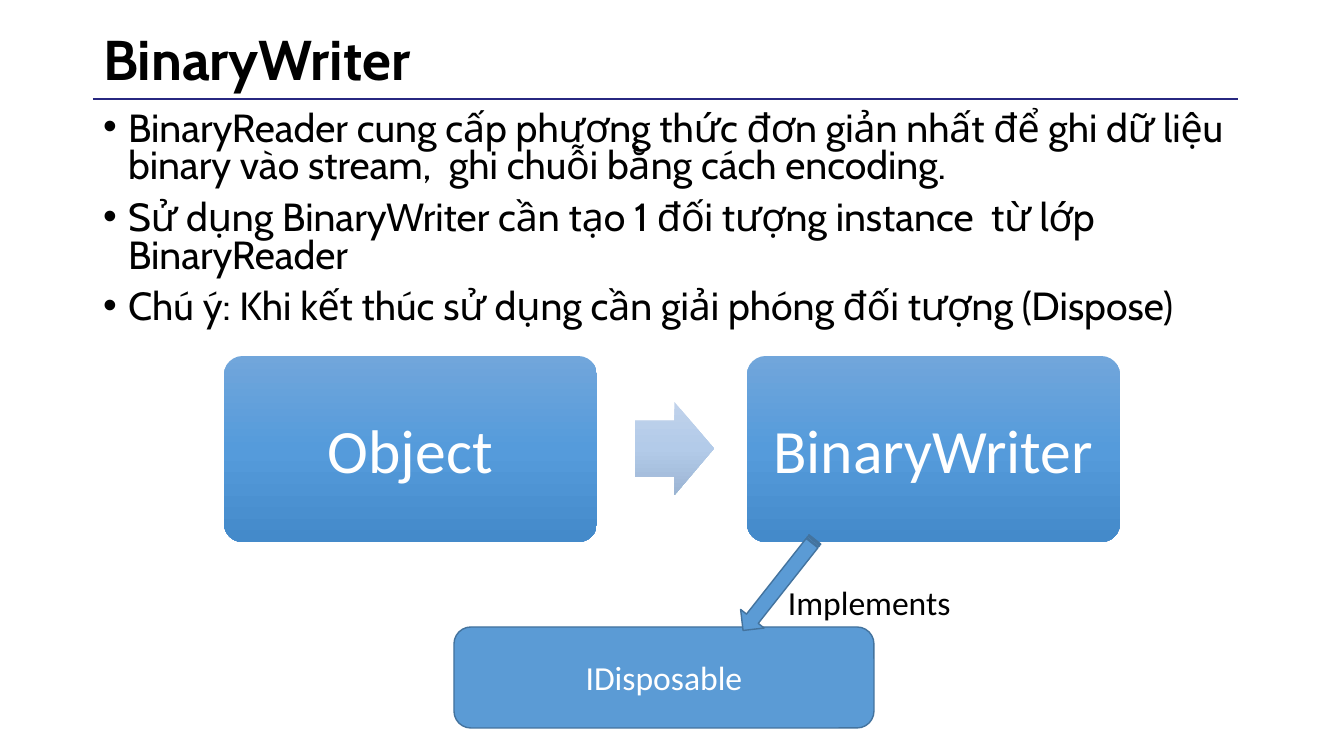
from copy import deepcopy

from lxml import etree
from pptx import Presentation
from pptx import util as u
from pptx.dml.color import RGBColor
from pptx.enum import shapes, text
from pptx.oxml.ns import qn

SLIDE_W, SLIDE_H = 1344, 756
EMU_PER_PX = 12192000 / SLIDE_W
HEADING_FONT, DIAGRAM_FONT = "Cabin", "Calibri"
BLACK, WHITE, NAVY = "000000", "FFFFFF", "272780"
BLUE, BLUE_EDGE = "5B9BD5", "43739E"
BOX_SHADES = ("71A6DB", "559BDB", "448ACA")
ARROW_SHADES = ("C0D2EB", "B3CBE9", "9BB4D3")
POINTS = (
    "BinaryReader cung cấp phương thức đơn giản nhất để ghi dữ liệu "
    "binary vào stream,  ghi chuỗi bằng cách encoding.",
    "Sử dụng BinaryWriter cần tạo 1 đối tượng instance  từ lớp BinaryReader",
    "Chú ý: Khi kết thúc sử dụng cần giải phóng đối tượng (Dispose)",
)


def px(*lengths):
    """Turn pixel lengths into EMU."""
    return [u.Emu(round(length * EMU_PER_PX)) for length in lengths]


def color(hex_code):
    """Turn a hex string into a colour."""
    return RGBColor.from_string(hex_code)


def write(frame, *lines, size, font=DIAGRAM_FONT, fill=BLACK, bold=False,
          align=text.PP_ALIGN.LEFT, anchor=text.MSO_ANCHOR.TOP, wrap=True,
          spacing=1.0, before=0, bullet=None, indent=25):
    """Write one paragraph per line into a text frame."""
    frame.auto_size = text.MSO_AUTO_SIZE.NONE
    frame.word_wrap = wrap
    frame.vertical_anchor = anchor
    for number, line in enumerate(lines):
        paragraph = frame.add_paragraph() if number else frame.paragraphs[0]
        paragraph.alignment = align
        paragraph.line_spacing = spacing
        paragraph.space_before = u.Pt(before)
        run = paragraph.add_run()
        run.text = line
        run.font.name, run.font.size, run.font.bold = font, u.Pt(size), bold
        run.font.color.rgb = color(fill)
        if bullet:
            props = paragraph._p.get_or_add_pPr()
            step = px(indent)[0]
            props.set("marL", str(step))
            props.set("indent", str(-step))
            etree.SubElement(props, qn("a:buChar")).set("char", bullet)


def place(placeholder, box):
    """Move a placeholder to a box."""
    (placeholder.left, placeholder.top,
     placeholder.width, placeholder.height) = px(*box)


def shade(shape, shades):
    """Fill a shape from top to bottom with evenly spaced shades."""
    shape.fill.gradient()
    shape.fill.gradient_angle = 270
    stop_list = shape._element.spPr.find(".//" + qn("a:gsLst"))
    for _ in shades[2:]:
        stop_list.append(deepcopy(stop_list[0]))
    for number, (stop, tone) in enumerate(zip(shape.fill.gradient_stops, shades)):
        stop.position = number / (len(shades) - 1)
        stop.color.rgb = color(tone)


def add_figure(slide, kind, box, shades=None, adjustments=()):
    """Add a preset shape, shaded without an edge or plain blue with one."""
    figure = slide.shapes.add_shape(kind, *px(*box))
    figure.shadow.inherit = False
    for number, value in enumerate(adjustments):
        figure.adjustments[number] = value
    if shades:
        shade(figure, shades)
        figure.line.fill.background()
    else:
        figure.fill.solid()
        figure.fill.fore_color.rgb = color(BLUE)
        figure.line.color.rgb = color(BLUE_EDGE)
        figure.line.width = u.Pt(1)
    return figure


def add_class_box(slide, name, box, size, **look):
    """Add a rounded box with a centred class name."""
    figure = add_figure(slide, shapes.MSO_SHAPE.ROUNDED_RECTANGLE, box, **look)
    write(figure.text_frame, name, size=size, fill=WHITE,
          align=text.PP_ALIGN.CENTER, anchor=text.MSO_ANCHOR.MIDDLE)


def fill_heading(slide, box):
    """Set the title and the rule beneath it."""
    left, top, width, height = box
    place(slide.shapes.title, box)
    write(slide.shapes.title.text_frame, "BinaryWriter", size=40,
          font=HEADING_FONT, bold=True, anchor=text.MSO_ANCHOR.MIDDLE, spacing=0.9)
    rule_y = top + height - 8
    rule = slide.shapes.add_connector(
        shapes.MSO_CONNECTOR.STRAIGHT, *px(left, rule_y, left + width - 14, rule_y))
    rule.line.color.rgb = color(NAVY)
    rule.line.width = u.Pt(2)
    etree.SubElement(rule._element.spPr, qn("a:effectLst"))


def fill_points(slide, box):
    """Set the bulleted list."""
    body = slide.placeholders[1]
    place(body, box)
    write(body.text_frame, *POINTS, size=28, font=HEADING_FONT,
          spacing=0.8, before=10, bullet="•")


def draw_inheritance(slide, box):
    """Draw the base class, the arrow and the derived class."""
    left, top, width, height = box
    box_w = 373
    for name, x in (("Object", left), ("BinaryWriter", left + width - box_w)):
        add_class_box(slide, name, (x, top, box_w, height), 44,
                      shades=BOX_SHADES, adjustments=[0.1])
    arrow_h = height // 2
    add_figure(slide, shapes.MSO_SHAPE.RIGHT_ARROW,
               (left + box_w + 38, top + (height - arrow_h) // 2, 79, arrow_h),
               shades=ARROW_SHADES, adjustments=[0.6, 0.5])


def draw_interface(slide, box):
    """Draw the interface box with its labelled arrow above."""
    left, top, width, height = box
    box_h = 101
    add_class_box(slide, "IDisposable",
                  (left, top + height - box_h, width, box_h), 24)
    arrow = add_figure(slide, shapes.MSO_SHAPE.STRIPED_RIGHT_ARROW,
                       (left + 267, top + 28, 116, 30))
    arrow.rotation = 128.3
    label = slide.shapes.add_textbox(*px(left + 324, top + 35, 184, 50))
    write(label.text_frame, "Implements", size=24, wrap=False)


def main():
    """Build and save the slide."""
    deck = Presentation()
    deck.slide_width, deck.slide_height = px(SLIDE_W, SLIDE_H)
    slide = deck.slides.add_slide(deck.slide_layouts[1])
    fill_heading(slide, (93, 17, 1159, 90))
    fill_points(slide, (93, 107, 1159, 248))
    draw_inheritance(slide, (224, 356, 896, 186))
    draw_interface(slide, (454, 542, 420, 186))
    deck.save("out.pptx")


main()
